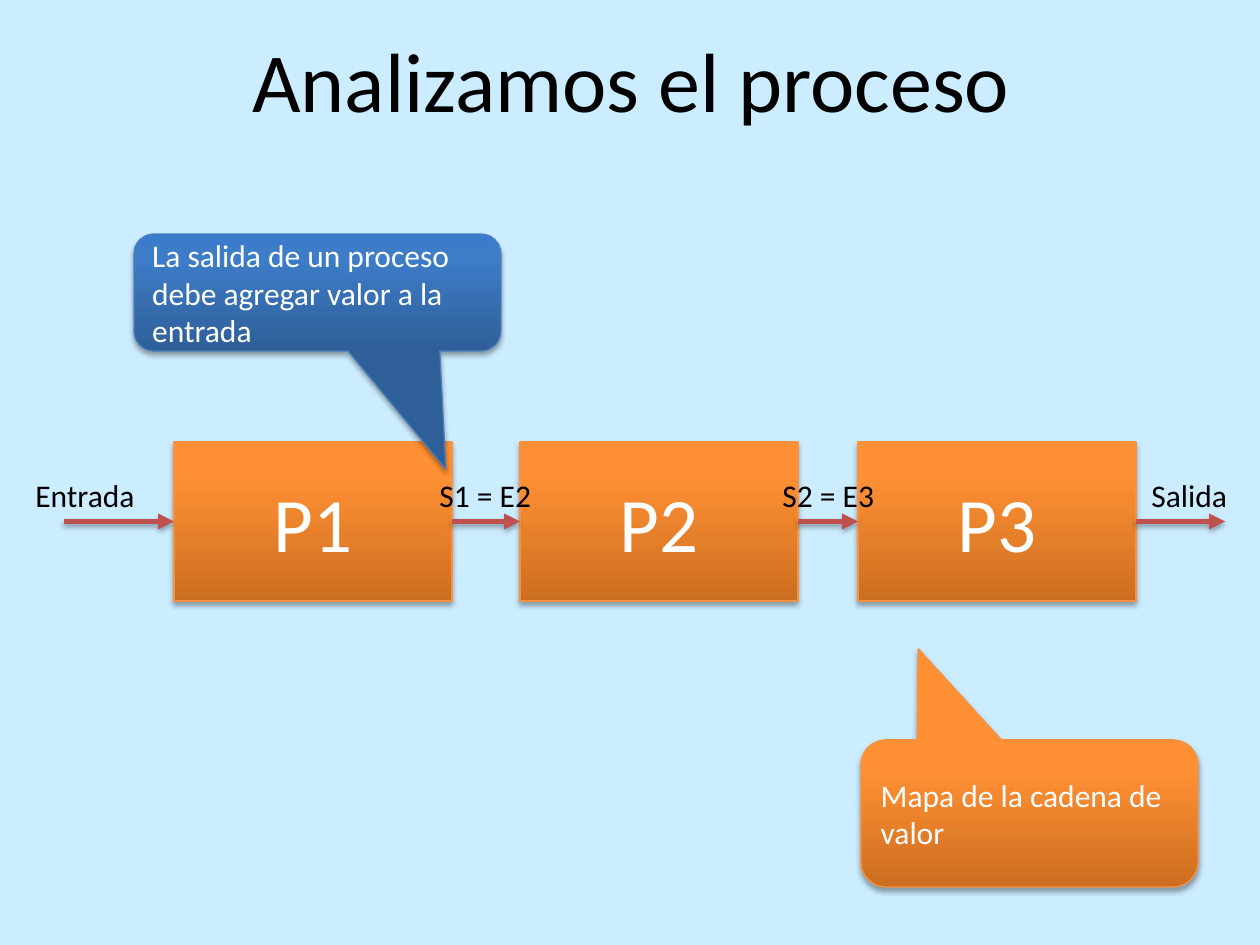
from copy import deepcopy

from lxml import etree
from pptx import Presentation
from pptx.dml.color import RGBColor
from pptx.enum.shapes import MSO_CONNECTOR, MSO_SHAPE
from pptx.enum.text import MSO_ANCHOR, MSO_AUTO_SIZE, PP_ALIGN
from pptx.oxml.ns import qn
from pptx.util import Emu, Pt

RECT = MSO_SHAPE.RECTANGLE
BUBBLE = MSO_SHAPE.ROUNDED_RECTANGULAR_CALLOUT
STRAIGHT = MSO_CONNECTOR.STRAIGHT
MIDDLE = MSO_ANCHOR.MIDDLE
GROW = MSO_AUTO_SIZE.SHAPE_TO_FIT_TEXT
LEFT, CENTER = PP_ALIGN.LEFT, PP_ALIGN.CENTER

SKY = RGBColor(0xCC, 0xEC, 0xFF)
BLACK = RGBColor(0, 0, 0)
WHITE = RGBColor(255, 255, 255)
RED = RGBColor(0xC0, 0x50, 0x4D)
EDGE = RGBColor(0xF6, 0x92, 0x40)
RIM = RGBColor(0x4B, 0x7E, 0xBC)
ORANGE = (RGBColor(0xCC, 0x6E, 0x20), RGBColor(0xFF, 0x90, 0x34),
          RGBColor(0xFF, 0x91, 0x36))
BLUE = (RGBColor(0x2F, 0x5F, 0x99), RGBColor(0x3D, 0x7C, 0xC7),
        RGBColor(0x3A, 0x7C, 0xCB))
STOPS = (0, 0.8, 1)
SIDE_L, SIDE_R = 1, 3


def px(*nums):
    return [Emu(round(n * 914400 / 126)) for n in nums]


def write(frame, text, size, color, align=LEFT):
    frame.text = text
    para = frame.paragraphs[0]
    para.alignment = align
    font = para.font
    font.name, font.size = "Calibri", Pt(size)
    font.color.rgb = color


def shade(item):
    props = item._element.spPr
    fx = props.find(qn("a:effectLst"))
    if fx is None:
        fx = etree.SubElement(props, qn("a:effectLst"))
    drop = etree.SubElement(fx, qn("a:outerShdw"), blurRad="39400",
                            dist="22900", dir="5400000", rotWithShape="0")
    tone = etree.SubElement(drop, qn("a:srgbClr"), val="000000")
    etree.SubElement(tone, qn("a:alpha"), val="35000")


def panel(slide, kind, box, text, size, ramp, edge, align=LEFT):
    shape = slide.shapes.add_shape(kind, *px(*box))
    shape.fill.gradient()
    shape.fill.gradient_angle = 90
    stops = shape._element.spPr.find(qn("a:gradFill")).find(qn("a:gsLst"))
    stops.append(deepcopy(stops[-1]))
    for stop, place, color in zip(shape.fill.gradient_stops, STOPS, ramp):
        stop.position = place
        stop.color.rgb = color
    shape.line.color.rgb = edge
    shape.line.width = Pt(0.75)
    shape.shadow.inherit = False
    shade(shape)
    frame = shape.text_frame
    frame.word_wrap = True
    frame.vertical_anchor = MIDDLE
    write(frame, text, size, WHITE, align)
    return shape


def bubble(slide, box, text, ramp, edge, tip):
    shape = panel(slide, BUBBLE, box, text, 18, ramp, edge)
    for i, value in enumerate((*tip, 0.17)):
        shape.adjustments[i] = value


def arrow(slide, x1, x2, y, start=None, end=None):
    line = slide.shapes.add_connector(STRAIGHT, *px(x1, y, x2, y))
    if start is not None:
        line.begin_connect(start, SIDE_R)
    if end is not None:
        line.end_connect(end, SIDE_L)
    line.line.color.rgb = RED
    line.line.width = Pt(3)
    etree.SubElement(line.line._ln, qn("a:tailEnd"), type="triangle")
    shade(line)


def label(slide, box, text):
    frame = slide.shapes.add_textbox(*px(*box)).text_frame
    frame.word_wrap = False
    frame.auto_size = GROW
    write(frame, text, 18, BLACK)


def chain(slide, box):
    x, y, w, h = box
    lefts = (x + 110, x + 456, x + 794)
    wide, top, high = 278, y, 159
    mid = top + high / 2
    steps = [panel(slide, RECT, (left, top, wide, high), f"P{i}", 44,
                   ORANGE, EDGE, CENTER)
             for i, left in enumerate(lefts, 1)]
    starts = (x, *(left + wide for left in lefts))
    ends = (*lefts, x + w)
    for x1, x2, start, end in zip(starts, ends, (None, *steps), (*steps, None)):
        arrow(slide, x1, x2, mid, start, end)
    for dx, wide, text in ((-41, 126, "Entrada"), (363, 118, "S1 = E2"),
                           (706, 118, "S2 = E3"), (1075, 102, "Salida")):
        label(slide, (x + dx, y + 28, wide, 50), text)


def head(slide, box, text):
    title = slide.shapes.title
    title.left, title.top, title.width, title.height = px(*box)
    title.text_frame.vertical_anchor = MIDDLE
    write(title.text_frame, text, 48, BLACK, CENTER)


def main():
    deck = Presentation()
    deck.slide_width, deck.slide_height = px(1260, 945)
    slide = deck.slides.add_slide(deck.slide_layouts[5])
    slide.background.fill.solid()
    slide.background.fill.fore_color.rgb = SKY
    head(slide, (64, 0, 1134, 158), "Analizamos el proceso")
    bubble(slide, (861, 740, 337, 147), "Mapa de la cadena de valor",
           ORANGE, EDGE, (-0.33, -1.12))
    chain(slide, (64, 442, 1161, 159))
    bubble(slide, (134, 234, 367, 117),
           "La salida de un proceso debe agregar valor a la entrada",
           BLUE, RIM, (0.35, 1.51))
    deck.save("out.pptx")


if __name__ == "__main__":
    main()
